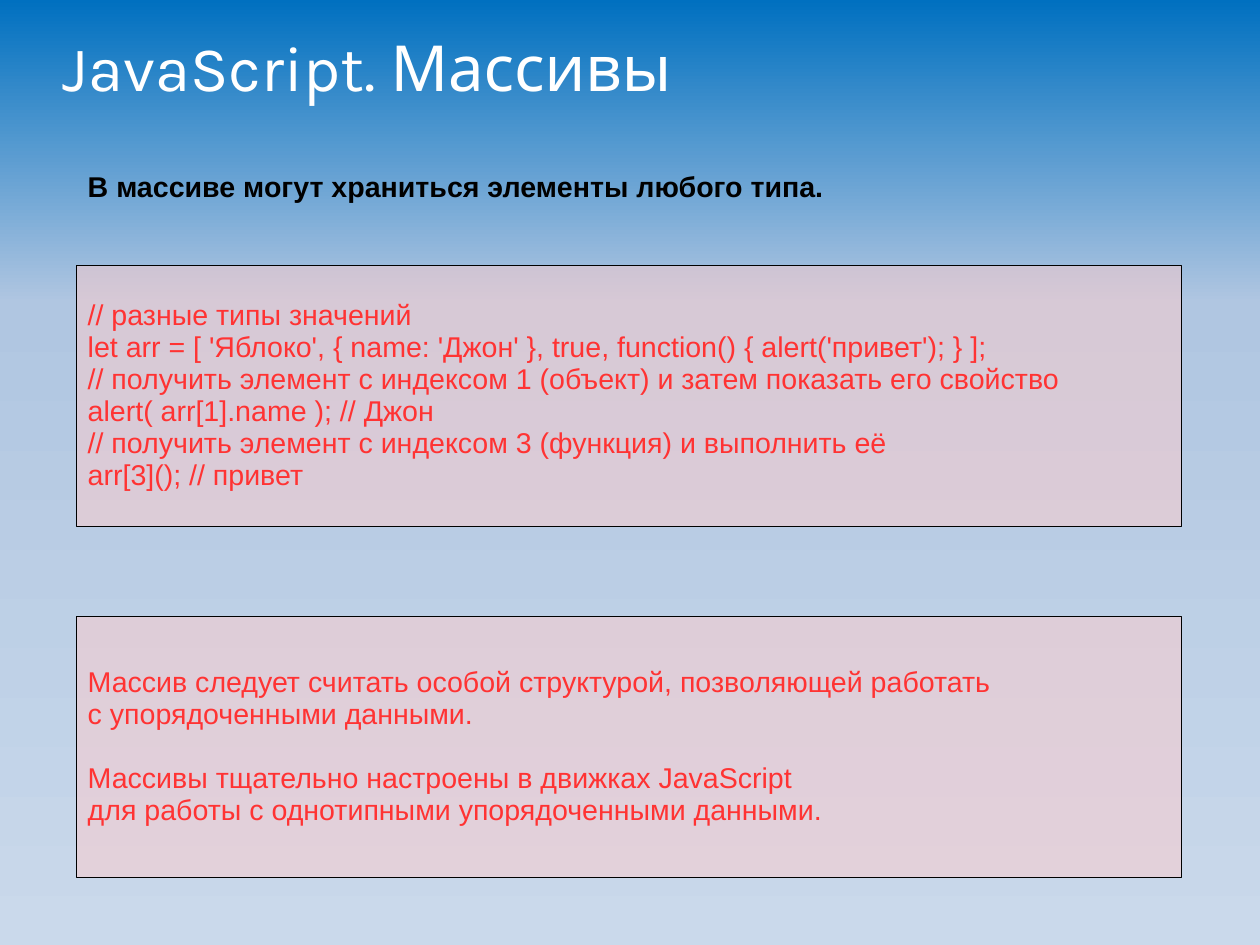
from copy import deepcopy

from lxml import etree
from pptx import Presentation
from pptx.dml.color import RGBColor
from pptx.enum.shapes import MSO_SHAPE
from pptx.enum.text import MSO_ANCHOR, MSO_AUTO_SIZE, PP_ALIGN
from pptx.oxml.ns import qn
from pptx.util import Cm, Pt

RECT = MSO_SHAPE.RECTANGLE
TOP, MIDDLE = MSO_ANCHOR.TOP, MSO_ANCHOR.MIDDLE
LEFT = PP_ALIGN.LEFT
GROW = MSO_AUTO_SIZE.SHAPE_TO_FIT_TEXT

COLORS = {"title": "FFFFFF", "text": "000000", "code": "FF3333",
          "panel": "FFCCCC", "border": "000000"}
SKY = [(0, "0070C0"), (0.32, "B0C6E1"), (1, "CAD9EB")]

TITLE = "JavaScript. Массивы"
STATEMENT = "В массиве могут храниться элементы любого типа."
CODE = [
    "// разные типы значений",
    "let arr = [ 'Яблоко', { name: 'Джон' }, true, function() { alert('привет'); } ];",
    "// получить элемент с индексом 1 (объект) и затем показать его свойство",
    "alert( arr[1].name ); // Джон",
    "// получить элемент с индексом 3 (функция) и выполнить её",
    "arr[3](); // привет",
]
NOTES = [
    "Массив следует считать особой структурой, позволяющей работать",
    "с упорядоченными данными.",
    "Массивы тщательно настроены в движках JavaScript",
    "для работы с однотипными упорядоченными данными.",
]
PANELS = [(5.9, CODE, None), (13.7, NOTES, 2)]
PANEL_LEFT, PANEL_WIDTH, PANEL_HEIGHT = Cm(1.7), Cm(24.56), Cm(5.8)


def write(tf, lines, color, size=18, font="Arial", bold=False,
          anchor=MIDDLE, margins=(0.25, 0.13), gap_before=None):
    tf.word_wrap = True
    tf.vertical_anchor = anchor
    tf.margin_left = tf.margin_right = Cm(margins[0])
    tf.margin_top = tf.margin_bottom = Cm(margins[1])
    for i, line in enumerate(lines):
        p = tf.paragraphs[0] if i == 0 else tf.add_paragraph()
        p.alignment = LEFT
        p.line_spacing = 0.93
        if i == gap_before:
            p.space_before = Pt(20)
        r = p.add_run()
        r.text = line
        r.font.size = Pt(size)
        r.font.name = font
        r.font.bold = bold
        r.font.color.rgb = RGBColor.from_string(COLORS[color])


prs = Presentation()
prs.slide_width, prs.slide_height = Cm(28), Cm(21)
s = prs.slides.add_slide(prs.slide_layouts[5])

fill = s.background.fill
fill.gradient()
fill.gradient_angle = 270
stops = s.element.xpath(".//a:gsLst")[0]
stops.append(deepcopy(stops[-1]))
for stop, (position, color) in zip(fill.gradient_stops, SKY):
    stop.position = position
    stop.color.rgb = RGBColor.from_string(color)

title = s.shapes.title
title.left, title.top, title.width, title.height = Cm(1.4), Cm(0.74), Cm(25.2), Cm(1.62)
write(title.text_frame, [TITLE], "title", size=40, font="Karla", margins=(0, 0))
title.text_frame.auto_size = GROW

statement = s.shapes.add_textbox(PANEL_LEFT, Cm(3.7), Cm(25.73), Cm(0.97))
write(statement.text_frame, [STATEMENT], "text", bold=True, anchor=TOP)

for top, lines, gap_before in PANELS:
    sp = s.shapes.add_shape(RECT, PANEL_LEFT, Cm(top), PANEL_WIDTH, PANEL_HEIGHT)
    sp.shadow.inherit = False
    sp.fill.solid()
    sp.fill.fore_color.rgb = RGBColor.from_string(COLORS["panel"])
    tint = sp.element.spPr.find(qn("a:solidFill"))[0]
    etree.SubElement(tint, qn("a:alpha")).set("val", "50000")
    sp.line.color.rgb = RGBColor.from_string(COLORS["border"])
    sp.line.width = Pt(0)
    write(sp.text_frame, lines, "code", gap_before=gap_before)

prs.save("out.pptx")
